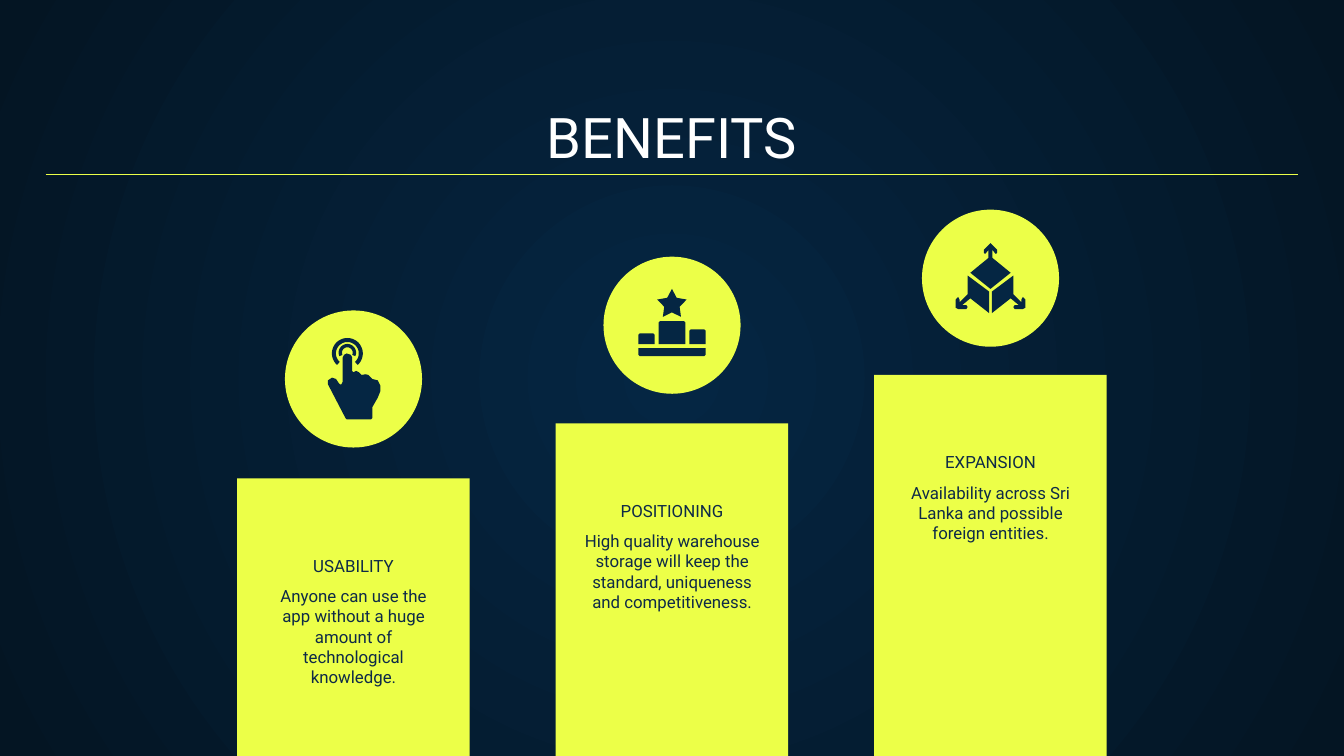
from math import cos, pi, radians, sin
from lxml.etree import SubElement
from pptx import Presentation
from pptx.dml.color import RGBColor
from pptx.enum.shapes import MSO_CONNECTOR, MSO_SHAPE
from pptx.enum.text import MSO_ANCHOR, PP_ALIGN
from pptx.oxml.ns import qn
from pptx.util import Inches, Pt

WIDTH, HEIGHT = 10, 5.625
MARGIN = 0.34
COLUMN_STEP = 2.37
BAR_WIDTH, CIRCLE_SIZE = 1.73, 1.02
HEADING_WIDTH, BODY_WIDTH = 2.27, 1.52
NAVY, DARK, INK = "052643", "041523", "0E2A47"
LIME, WHITE = "ECFF48", "FFFFFF"

# Heading, body, top of the bar, top of the circle
BENEFITS = [
    ("USABILITY", "Anyone can use the app without a huge amount of technological knowledge.",
     3.56, 2.31),
    ("POSITIONING", "High quality warehouse storage will keep the standard, uniqueness "
     "and competitiveness.", 3.15, 1.91),
    ("EXPANSION", "Availability across Sri Lanka and possible foreign entities.", 2.79, 1.56),
]

# Icon outlines are in hundredths of an inch from the centre of the circle
HAND = [(-5, -19), (-7, -18), (-8, -16), (-8, 2), (-9, 4), (-10, 4), (-11, 3), (-13, 0),
        (-16, -1), (-19, 1), (-19, 4), (-6, 29), (-5, 30), (13, 30), (14, 29), (14, 21),
        (18, 14), (20, 9), (20, 5), (18, 1), (14, 0), (13, -1), (11, -3), (9, -3.5),
        (6, -3), (4, -5), (2, -6), (0, -5), (-1, -6), (-1, -16), (-2, -18)]
CUBE_SIDE = [(17, -2), (1, 10), (1, 26), (15, 15), (21, 20), (18, 20), (17, 21.5),
             (18, 23), (24, 23), (26, 22), (26, 16), (24, 14), (23, 16), (23, 18),
             (17, 12)]
CUBE_TOP_HALF = [(0, -26), (-1, -25), (-5, -21), (-5, -19), (-4, -18), (-3, -19),
                 (-1.5, -21), (-1.5, -15), (-15, -4), (0, 8)]


def color(code):
    return RGBColor.from_string(code)


def paint(shape, code):
    shape.shadow.inherit = False
    shape.fill.solid()
    shape.fill.fore_color.rgb = color(code)
    shape.line.fill.background()


def mirror(points):
    return [(-x, y) for x, y in reversed(points)]


def block(left, top, right, bottom):
    """Outline of a podium block with its upper corners cut."""
    return [(left, bottom), (left, top + 1), (left + 1, top),
            (right - 1, top), (right, top + 1), (right, bottom)]


def star(center_y, outer, inner):
    radii = [outer, inner] * 5
    return [(radius * sin(step * pi / 5), center_y - radius * cos(step * pi / 5))
            for step, radius in enumerate(radii)]


def arc_band(center_x, center_y, outer, inner, start, end):
    """Outline of a part of a ring, with angles clockwise from the right."""
    angles = [radians(angle) for angle in range(start, end + 1, 6)]
    rims = [(outer, angles), (inner, angles[::-1])]
    return [(center_x + radius * cos(angle), center_y + radius * sin(angle))
            for radius, rim in rims for angle in rim]


def add_icon(page, center_x, center_y, outlines):
    group = page.shapes.add_group_shape()
    for outline in outlines:
        points = [(Inches(center_x + x / 100), Inches(center_y + y / 100))
                  for x, y in outline]
        builder = group.shapes.build_freeform(*points[0])
        builder.add_line_segments(points[1:], close=True)
        paint(builder.convert_to_shape(), NAVY)


def add_shape(page, kind, center_x, top, width, height):
    shape = page.shapes.add_shape(kind, Inches(center_x - width / 2), Inches(top),
                                  Inches(width), Inches(height))
    paint(shape, LIME)


def add_text(page, text, center_x, top, width, height, size, code, anchor):
    box = page.shapes.add_textbox(Inches(center_x - width / 2), Inches(top),
                                  Inches(width), Inches(height))
    frame = box.text_frame
    frame.word_wrap = True
    frame.vertical_anchor = anchor
    frame.margin_left = frame.margin_right = Inches(0.1)
    frame.margin_top = frame.margin_bottom = Inches(0.1)
    para = frame.paragraphs[0]
    para.alignment = PP_ALIGN.CENTER
    span = para.add_run()
    span.text = text
    span.font.name = "Roboto"
    span.font.size = Pt(size)
    span.font.color.rgb = color(code)


def add_rule(page, top):
    rule = page.shapes.add_connector(MSO_CONNECTOR.STRAIGHT, Inches(MARGIN), Inches(top),
                                     Inches(WIDTH - MARGIN), Inches(top))
    rule.line.color.rgb = color(LIME)
    rule.line.width = Pt(0.75)
    SubElement(rule._element.spPr, qn("a:effectLst"))


def set_radial_background(page, inner, outer):
    fill = page.background.fill
    fill.gradient()
    for stop, position, code in zip(fill.gradient_stops, (0, 1), (inner, outer)):
        stop.position = position
        stop.color.rgb = color(code)
    linear = next(page._element.iter(qn("a:lin")))
    gradient = linear.getparent()
    gradient.remove(linear)
    radial = SubElement(gradient, qn("a:path"), {"path": "circle"})
    SubElement(radial, qn("a:fillToRect"),
               {side: "50000" for side in ("l", "t", "r", "b")})


def add_benefit(page, center_x, benefit, icon):
    heading, body, bar_top, circle_top = benefit
    add_shape(page, MSO_SHAPE.RECTANGLE, center_x, bar_top, BAR_WIDTH, 5.65 - bar_top)
    add_text(page, heading, center_x, bar_top + 0.59, HEADING_WIDTH, 0.21, 9, INK,
             MSO_ANCHOR.BOTTOM)
    add_text(page, body, center_x, bar_top + 0.7, BODY_WIDTH, 0.55, 9, INK, MSO_ANCHOR.TOP)
    add_shape(page, MSO_SHAPE.OVAL, center_x, circle_top, CIRCLE_SIZE, CIRCLE_SIZE)
    add_icon(page, center_x, circle_top + CIRCLE_SIZE / 2, icon)


def main():
    deck = Presentation()
    deck.slide_width, deck.slide_height = Inches(WIDTH), Inches(HEIGHT)
    page = deck.slides.add_slide(deck.slide_layouts[6])
    set_radial_background(page, NAVY, DARK)
    add_text(page, "BENEFITS", WIDTH / 2, 0.7, WIDTH - 2 * MARGIN, 0.66, 30, WHITE,
             MSO_ANCHOR.BOTTOM)

    touch = [arc_band(-4.5, -19, 11.5, 8.5, 132, 408),
             arc_band(-4.5, -19.5, 6.5, 4, 156, 384), HAND]
    podium = [star(-15.5, 11.5, 6), block(13, 3, 25, 14), block(-10, -3, 10, 14),
              block(-25, 6, -13, 14), mirror([(x, 40 - y) for x, y in block(-25, 17, 25, 23)])]
    cube = [CUBE_SIDE, mirror(CUBE_SIDE), CUBE_TOP_HALF + mirror(CUBE_TOP_HALF)]
    for column, (benefit, icon) in enumerate(zip(BENEFITS, (touch, podium, cube))):
        add_benefit(page, WIDTH / 2 + (column - 1) * COLUMN_STEP, benefit, icon)

    add_rule(page, 1.3)
    deck.save("out.pptx")


if __name__ == "__main__":
    main()
